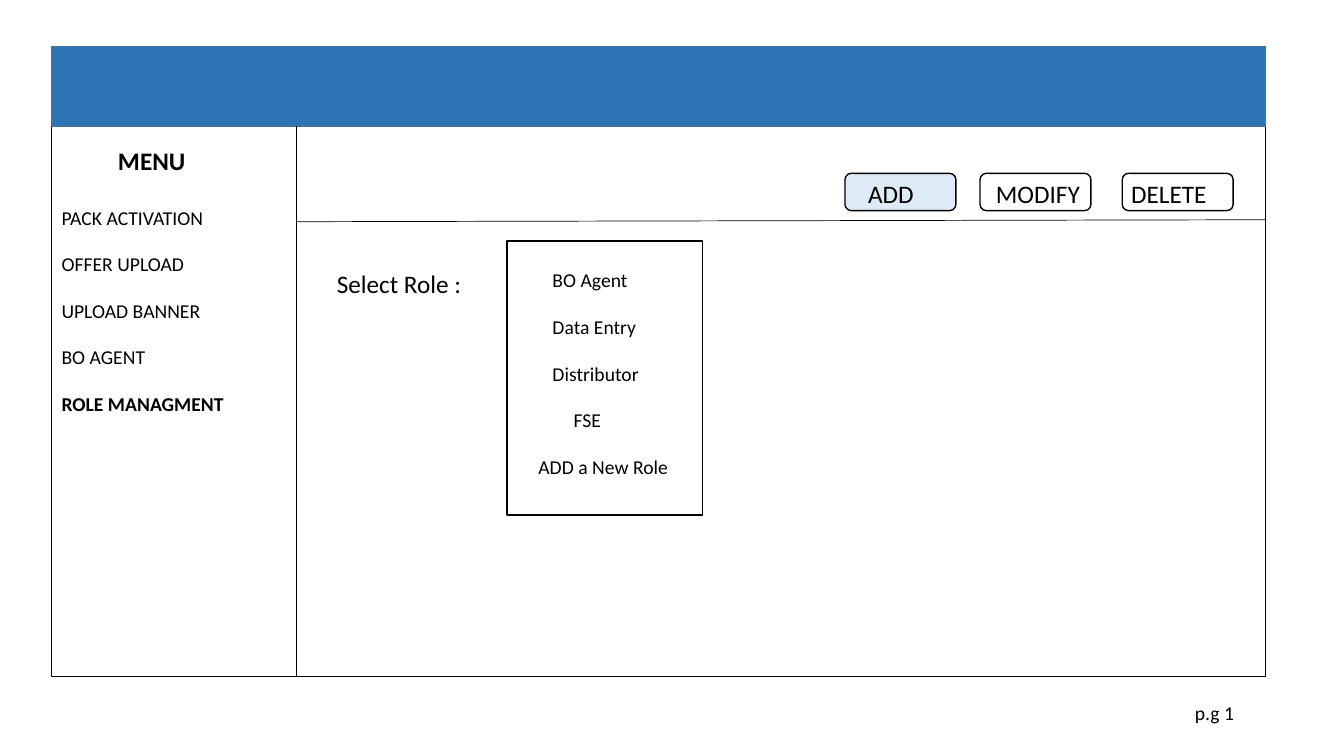
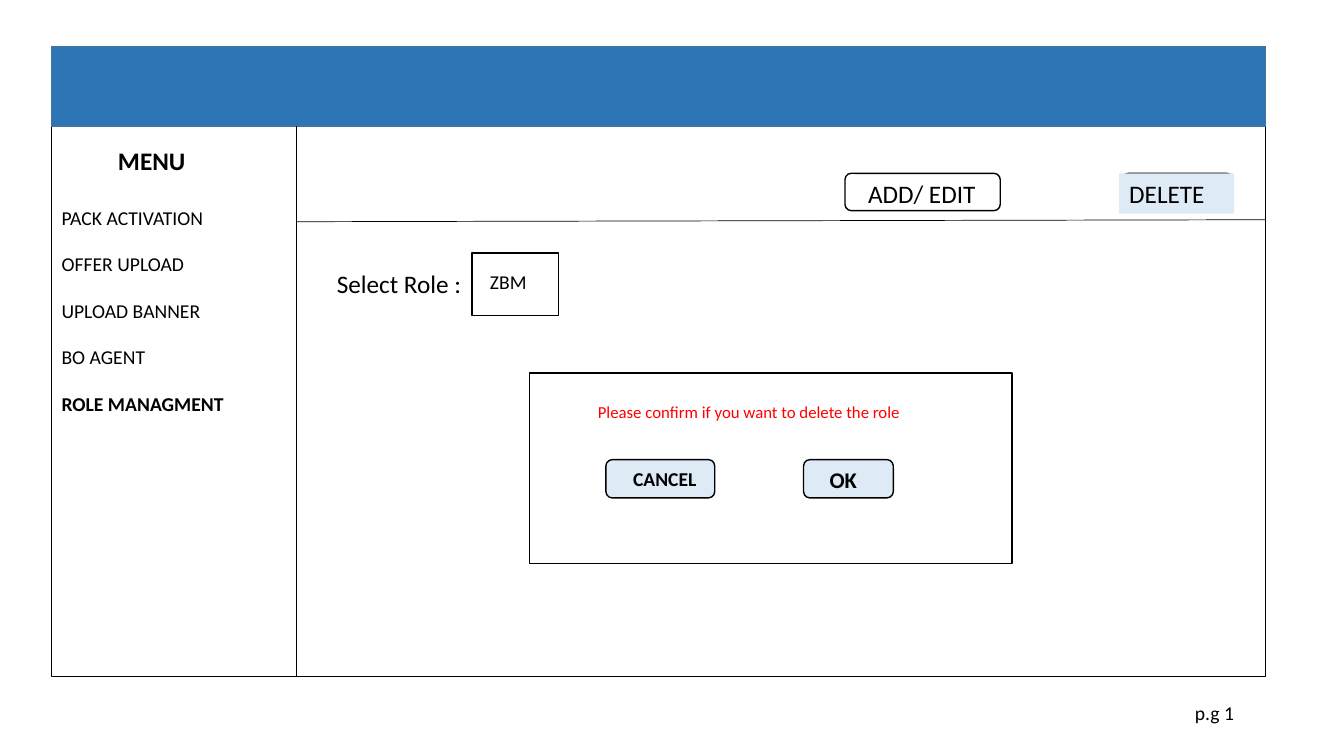
from dataclasses import dataclass

from lxml import etree
from pptx import Presentation
from pptx.dml.color import RGBColor
from pptx.enum.shapes import MSO_CONNECTOR, MSO_SHAPE
from pptx.enum.text import MSO_ANCHOR, PP_ALIGN
from pptx.oxml.ns import qn
from pptx.util import Inches, Pt

RECTANGLE = MSO_SHAPE.RECTANGLE
ROUNDED = MSO_SHAPE.ROUNDED_RECTANGLE
STRAIGHT = MSO_CONNECTOR.STRAIGHT
TOP = MSO_ANCHOR.TOP
MIDDLE = MSO_ANCHOR.MIDDLE
LEFT = PP_ALIGN.LEFT
RIGHT = PP_ALIGN.RIGHT


@dataclass(frozen=True)
class Theme:
    font: str = "Calibri"
    ink: str = "000000"
    paper: str = "FFFFFF"
    header: str = "2E75B6"
    header_edge: str = "43739E"
    active: str = "DEEBF7"
    warning: str = "FF0000"
    heading: int = 18
    confirm: int = 16
    body: int = 14
    message: int = 12
    thin: float = 0.5
    normal: float = 1
    item_gap: float = 16.5
    heading_gap: float = 21.5


@dataclass(frozen=True)
class Line:
    text: str
    size: float
    bold: bool = False
    color: str = Theme.ink
    indent: float = 0
    gap: float = 0


THEME = Theme()
FRAME_LEFT, FRAME_TOP, FRAME_WIDTH, FRAME_HEIGHT = 3.83, 6.13, 90.32, 83.33
HEADER_HEIGHT = 10.53
MENU_RIGHT = 22.06
TOOLBAR_TOP, BUTTON_WIDTH, BUTTON_HEIGHT = 22.93, 8.25, 4.93
ADD_LEFT, MODIFY_LEFT, DELETE_LEFT = 62.87, 72.92, 83.5
DIALOG_BUTTON_TOP, DIALOG_BUTTON_HEIGHT = 60.8, 5.07
MENU_ITEMS = ["PACK ACTIVATION", "OFFER UPLOAD", "UPLOAD BANNER", "BO AGENT", "ROLE MANAGMENT"]
CURRENT_ITEM = "ROLE MANAGMENT"
ROLES = [
    ("BO Agent", 3.38),
    ("Data Entry", 3.38),
    ("Distributor", 3.38),
    ("FSE", 4.95),
    ("ADD a New Role", 2.33),
]


class Wireframe:
    def __init__(self, theme):
        self.theme = theme
        self.deck = Presentation()
        self.deck.slide_width = Inches(13.33)
        self.deck.slide_height = Inches(7.5)
        self.page = None

    def across(self, share):
        return round(self.deck.slide_width * share / 100)

    def down(self, share):
        return round(self.deck.slide_height * share / 100)

    def place(self, left, top, width, height):
        return self.across(left), self.down(top), self.across(width), self.down(height)

    def box(self, area, fill=None, edge=THEME.ink, outline=RECTANGLE):
        box = self.page.shapes.add_shape(outline, *self.place(*area))
        box.shadow.inherit = False
        if fill:
            box.fill.solid()
            box.fill.fore_color.rgb = RGBColor.from_string(fill)
        else:
            box.fill.background()
        if edge:
            box.line.color.rgb = RGBColor.from_string(edge)
            box.line.width = Pt(self.theme.normal)
        else:
            box.line.fill.background()
        return box

    def add_lines(self, box, lines, inset=(0.75, 0.67), bottom=0, anchor=TOP, align=LEFT):
        frame = box.text_frame
        frame.word_wrap = True
        frame.vertical_anchor = anchor
        frame.margin_left, frame.margin_top = self.across(inset[0]), self.down(inset[1])
        frame.margin_right, frame.margin_bottom = 0, self.down(bottom)
        for number, line in enumerate(lines):
            para = frame.add_paragraph() if number else frame.paragraphs[0]
            para.alignment = align
            para.space_after = Pt(line.gap)
            if line.indent:
                para._p.get_or_add_pPr().set("marL", str(self.across(line.indent)))
            span = para.add_run()
            span.text = line.text
            span.font.name = self.theme.font
            span.font.size = Pt(line.size)
            span.font.bold = line.bold
            span.font.color.rgb = RGBColor.from_string(line.color)

    def label(self, area, lines, align=LEFT):
        box = self.page.shapes.add_textbox(*self.place(*area))
        self.add_lines(box, lines, align=align)

    def rule(self, start, end, weight):
        rule = self.page.shapes.add_connector(
            STRAIGHT,
            self.across(start[0]), self.down(start[1]),
            self.across(end[0]), self.down(end[1]),
        )
        rule.line.color.rgb = RGBColor.from_string(self.theme.ink)
        rule.line.width = Pt(weight)
        etree.SubElement(rule._element.spPr, qn("a:effectLst"))

    def button(self, area, line, inset, fill=THEME.paper, drop=0.4):
        box = self.box(area, fill, outline=ROUNDED)
        self.add_lines(box, [line], (inset, drop), anchor=MIDDLE)

    def tool(self, text, left, inset, fill=THEME.paper, width=BUTTON_WIDTH):
        area = (left, TOOLBAR_TOP, width, BUTTON_HEIGHT)
        self.button(area, Line(text, self.theme.heading), inset, fill)

    def screen(self):
        theme = self.theme
        self.page = self.deck.slides.add_slide(self.deck.slide_layouts[6])
        self.box((FRAME_LEFT, FRAME_TOP, FRAME_WIDTH, FRAME_HEIGHT))
        self.box((FRAME_LEFT, FRAME_TOP, FRAME_WIDTH, HEADER_HEIGHT), theme.header, theme.header_edge)
        self.rule((MENU_RIGHT, FRAME_TOP + HEADER_HEIGHT), (MENU_RIGHT, FRAME_TOP + FRAME_HEIGHT), theme.normal)
        self.rule((MENU_RIGHT, 29.33), (FRAME_LEFT + FRAME_WIDTH, 29.07), theme.thin)
        menu = [Line("MENU", theme.heading, True, indent=4.2, gap=theme.heading_gap)]
        menu += [
            Line(item, theme.body, item == CURRENT_ITEM, gap=theme.item_gap)
            for item in MENU_ITEMS
        ]
        self.label((FRAME_LEFT, 18.53, MENU_RIGHT - FRAME_LEFT, 37.73), menu)
        self.label((24.31, 34.8, 11.1, 5.33), [Line("Select Role :", theme.heading)])
        self.label((83.27, 92, 8.55, 4.53), [Line("p.g 1", theme.body)], RIGHT)


def add_role_screen(wireframe):
    theme = wireframe.theme
    wireframe.screen()
    wireframe.tool("ADD", ADD_LEFT, 1.58, theme.active)
    wireframe.tool("MODIFY", MODIFY_LEFT, 1.05)
    wireframe.tool("DELETE", DELETE_LEFT, 0.53)
    role_list = wireframe.box((37.73, 31.87, 14.55, 36.27))
    roles = [Line(role, theme.body, indent=indent, gap=theme.item_gap) for role, indent in ROLES]
    wireframe.add_lines(role_list, roles, (0, 3.6))


def delete_role_screen(wireframe):
    theme = wireframe.theme
    wireframe.screen()
    wireframe.tool("ADD/ EDIT", ADD_LEFT, 1.58, width=11.55)
    wireframe.box((DELETE_LEFT, TOOLBAR_TOP, BUTTON_WIDTH, BUTTON_HEIGHT), theme.paper, outline=ROUNDED)
    highlight = wireframe.box((83.27, TOOLBAR_TOP, 8.55, 5.33), theme.active, None)
    wireframe.add_lines(highlight, [Line("DELETE", theme.heading)], (0.75, 0), anchor=MIDDLE)
    role = wireframe.box((35.11, 33.47, 6.45, 8.27))
    wireframe.add_lines(role, [Line("ZBM", theme.body)], (1.35, 0), bottom=0.8, anchor=MIDDLE)
    dialog = wireframe.box((39.38, 49.33, 35.93, 25.2))
    question = Line("Please confirm if you want to delete the role", theme.message, color=theme.warning)
    wireframe.add_lines(dialog, [question], (5.1, 3.87))
    for text, size, left, width, inset, drop in [
        ("CANCEL", theme.body, 45.08, 8.1, 1.88, 0),
        ("OK", theme.confirm, 59.79, 6.68, 1.8, 0.3),
    ]:
        area = (left, DIALOG_BUTTON_TOP, width, DIALOG_BUTTON_HEIGHT)
        wireframe.button(area, Line(text, size, True), inset, theme.active, drop)


def main():
    wireframe = Wireframe(THEME)
    add_role_screen(wireframe)
    delete_role_screen(wireframe)
    wireframe.deck.save("out.pptx")


if __name__ == "__main__":
    main()
